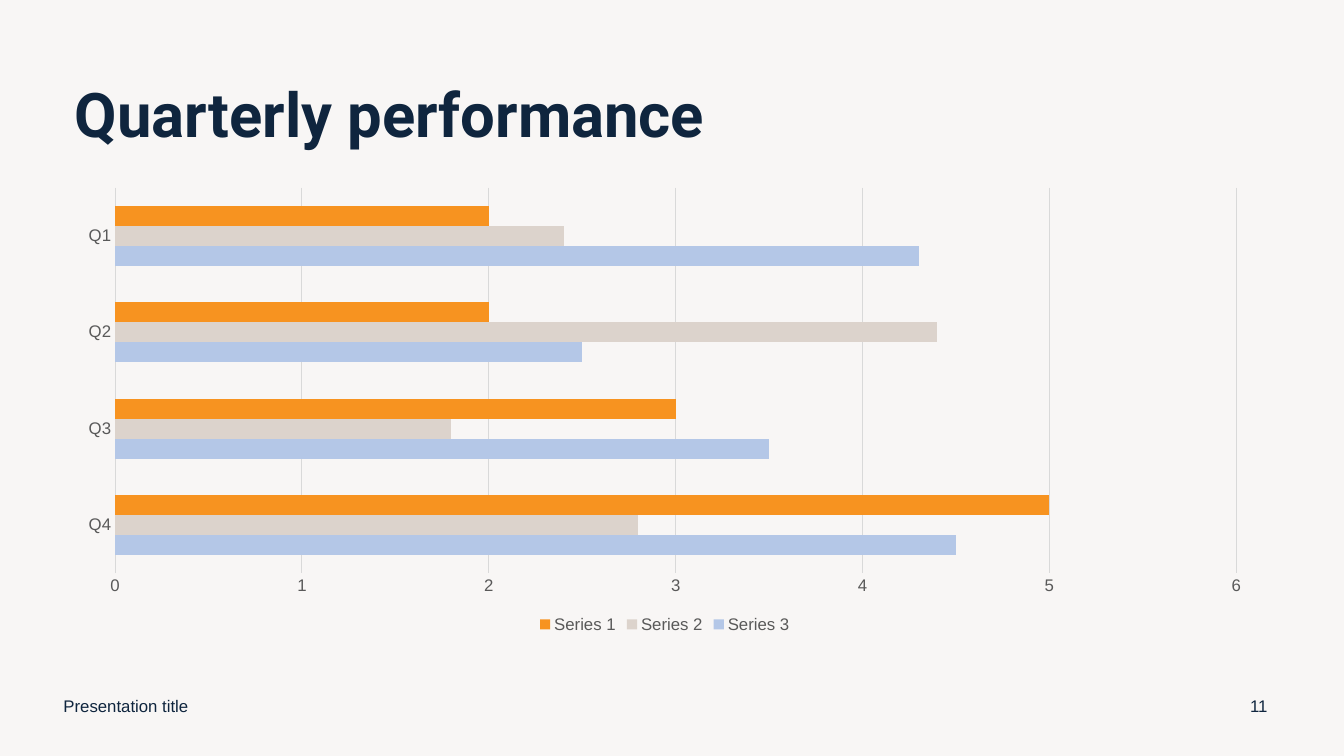
from dataclasses import dataclass

from pptx import Presentation
from pptx.chart.data import CategoryChartData
from pptx.dml.color import RGBColor
from pptx.enum.chart import XL_CHART_TYPE as ChartType
from pptx.enum.chart import XL_LEGEND_POSITION as LegendPosition
from pptx.enum.chart import XL_TICK_MARK as TickMark
from pptx.enum.text import MSO_ANCHOR as Anchor
from pptx.enum.text import PP_ALIGN as Align
from pptx.util import Cm, Pt


@dataclass(frozen=True)
class Theme:
    background: str = "F8F6F5"
    navy: str = "0F253E"
    grey: str = "595959"
    rule: str = "D9D9D9"
    orange: str = "F79320"
    sand: str = "DCD3CC"
    blue: str = "B4C7E7"
    title_font: str = "Roboto"
    body_font: str = "Arial"
    title_size: float = 44
    body_size: float = 12
    rule_width: float = 0.75


@dataclass(frozen=True)
class Area:
    left: float
    top: float
    width: float
    height: float

    def lengths(self) -> tuple:
        return Cm(self.left), Cm(self.top), Cm(self.width), Cm(self.height)


@dataclass(frozen=True)
class FooterItem:
    text: str
    area: Area
    align: Align


@dataclass(frozen=True)
class QuarterSeries:
    name: str
    values: tuple
    color: str


THEME = Theme()
TITLE_AREA = Area(1.63, 1.4, 29.21, 3.1)
CHART_AREA = Area(1.63, 4.5, 30.25, 11.56)
FOOTER_ITEMS = (
    FooterItem("Presentation title", Area(1.35, 17.27, 11.43, 1.02), Align.LEFT),
    FooterItem("11", Area(31.09, 17.27, 1.27, 1.02), Align.CENTER),
)
# Bar charts stack upwards, so the last quarter and series come first
QUARTERS = ("Q4", "Q3", "Q2", "Q1")
SERIES = (
    QuarterSeries("Series 3", (4.5, 3.5, 2.5, 4.3), THEME.blue),
    QuarterSeries("Series 2", (2.8, 1.8, 4.4, 2.4), THEME.sand),
    QuarterSeries("Series 1", (5, 3, 2, 2), THEME.orange),
)


def rgb(color: str) -> RGBColor:
    return RGBColor.from_string(color)


def style_font(font, name: str, size: float, color: str, bold: bool = False) -> None:
    font.name = name
    font.size = Pt(size)
    font.bold = bold
    font.color.rgb = rgb(color)


def style_rule(line) -> None:
    line.color.rgb = rgb(THEME.rule)
    line.width = Pt(THEME.rule_width)


def add_title(page, text: str) -> None:
    title = page.shapes.title
    title.left, title.top, title.width, title.height = TITLE_AREA.lengths()
    title.text_frame.text = text
    title.text_frame.vertical_anchor = Anchor.MIDDLE
    para = title.text_frame.paragraphs[0]
    para.alignment = Align.LEFT
    para.line_spacing = 0.9
    style_font(para.font, THEME.title_font, THEME.title_size, THEME.navy, bold=True)


def add_quarter_chart(page) -> None:
    data = CategoryChartData()
    data.categories = QUARTERS
    for series in SERIES:
        data.add_series(series.name, series.values)
    chart = page.shapes.add_chart(
        ChartType.BAR_CLUSTERED, *CHART_AREA.lengths(), data
    ).chart
    chart.has_title = False
    style_font(chart.font, THEME.body_font, THEME.body_size, THEME.grey)

    # Bars
    plot = chart.plots[0]
    plot.gap_width = 182
    plot.vary_by_categories = False
    for bars, series in zip(plot.series, SERIES):
        bars.format.fill.solid()
        bars.format.fill.fore_color.rgb = rgb(series.color)

    # Axes
    for axis in (chart.category_axis, chart.value_axis):
        axis.major_tick_mark = axis.minor_tick_mark = TickMark.NONE
    style_rule(chart.category_axis.format.line)
    value_axis = chart.value_axis
    value_axis.minimum_scale, value_axis.maximum_scale = 0, 6
    value_axis.major_unit = 1
    value_axis.format.line.fill.background()
    value_axis.has_major_gridlines = True
    style_rule(value_axis.major_gridlines.format.line)

    # Legend
    chart.has_legend = True
    chart.legend.position = LegendPosition.BOTTOM
    chart.legend.include_in_layout = False


def add_footer_item(page, item: FooterItem) -> None:
    box = page.shapes.add_textbox(*item.area.lengths())
    box.text_frame.word_wrap = True
    box.text_frame.vertical_anchor = Anchor.MIDDLE
    box.text_frame.text = item.text
    para = box.text_frame.paragraphs[0]
    para.alignment = item.align
    style_font(para.font, THEME.body_font, THEME.body_size, THEME.navy)


def main() -> None:
    deck = Presentation()
    deck.slide_width, deck.slide_height = Cm(33.87), Cm(19.05)
    page = deck.slides.add_slide(deck.slide_layouts.get_by_name("Title Only"))
    page.background.fill.solid()
    page.background.fill.fore_color.rgb = rgb(THEME.background)

    add_title(page, "Quarterly performance")
    add_quarter_chart(page)
    for item in FOOTER_ITEMS:
        add_footer_item(page, item)
    deck.save("out.pptx")


if __name__ == "__main__":
    main()
